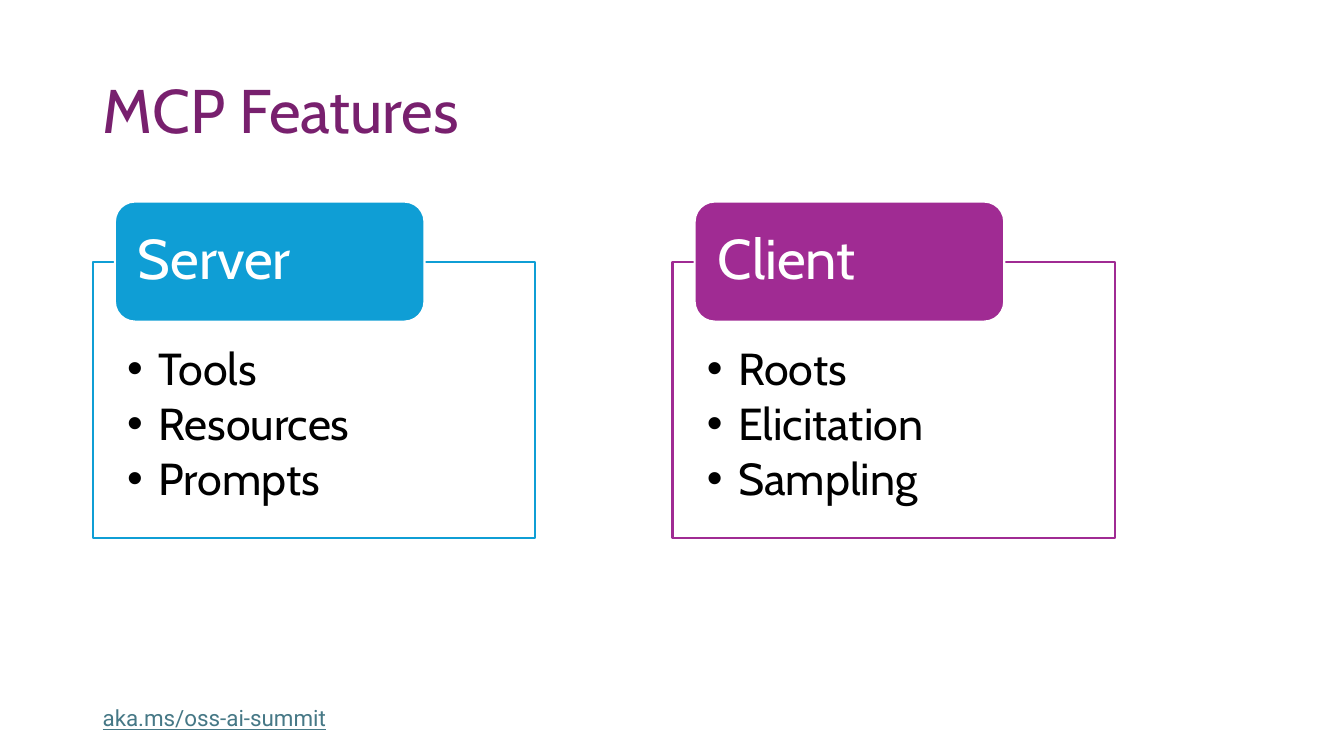
"""Build the MCP Features slide with its server and client panels."""
from lxml.etree import SubElement
from pptx import Presentation
from pptx.dml.color import RGBColor
from pptx.enum.shapes import MSO_SHAPE
from pptx.enum.text import MSO_ANCHOR, PP_ALIGN
from pptx.oxml.ns import qn
from pptx.util import Inches, Pt

PURPLE = RGBColor(0x78, 0x20, 0x6E)
BLUE = RGBColor(0x0F, 0x9E, 0xD5)
MAGENTA = RGBColor(0xA0, 0x2B, 0x93)
LINK = RGBColor(0x46, 0x78, 0x86)
WHITE = RGBColor(0xFF, 0xFF, 0xFF)
BLACK = RGBColor(0x00, 0x00, 0x00)

TITLE = "MCP Features"
ADDRESS = "aka.ms/oss-ai-summit"
PANELS = [
    ("Server", BLUE, ["Tools", "Resources", "Prompts"]),
    ("Client", MAGENTA, ["Roots", "Elicitation", "Sampling"]),
]
LEFT, PANEL_STEP = 0.92, 5.75


def set_font(para, name, size, color):
    para.font.name = name
    para.font.size = Pt(size)
    para.font.color.rgb = color


def set_frame(frame, anchor, margins):
    frame.word_wrap = True
    frame.vertical_anchor = anchor
    (frame.margin_left, frame.margin_top,
     frame.margin_right, frame.margin_bottom) = map(Inches, margins)


def add_box(slide, kind, place, fill, line):
    box = slide.shapes.add_shape(kind, *map(Inches, place))
    box.shadow.inherit = False
    box.fill.solid()
    box.fill.fore_color.rgb = fill
    box.line.color.rgb = line
    box.line.width = Pt(1.5)
    return box


def add_bullet(para):
    properties = para._p.get_or_add_pPr()
    properties.set("marL", str(Inches(0.31)))
    properties.set("indent", str(-Inches(0.31)))
    SubElement(properties, qn("a:buFont"), typeface="Arial")
    SubElement(properties, qn("a:buChar"), char="•")


def add_panel(slide, left, heading, color, items):
    body = add_box(slide, MSO_SHAPE.RECTANGLE, (left, 2.6, 4.39, 2.74), WHITE, color)
    frame = body.text_frame
    set_frame(frame, MSO_ANCHOR.TOP, (0.34, 0.84, 0.34, 0.25))
    for index, item in enumerate(items):
        para = frame.add_paragraph() if index else frame.paragraphs[0]
        para.text = item
        add_bullet(para)
        para.alignment = PP_ALIGN.LEFT
        para.line_spacing = 0.9
        para.space_after = Pt(4.6)
        set_font(para, "Cabin", 32, BLACK)

    header = add_box(slide, MSO_SHAPE.ROUNDED_RECTANGLE,
                     (left + 0.22, 2, 3.07, 1.19), color, WHITE)
    set_frame(header.text_frame, MSO_ANCHOR.MIDDLE, (0.17, 0.06, 0.17, 0.06))
    para = header.text_frame.paragraphs[0]
    para.text = heading
    para.alignment = PP_ALIGN.LEFT
    para.line_spacing = 0.9
    set_font(para, "Cabin", 40, WHITE)


def main():
    deck = Presentation()
    deck.slide_width, deck.slide_height = Inches(13.33), Inches(7.5)
    slide = deck.slides.add_slide(deck.slide_layouts[5])

    title = slide.shapes.title
    title.left, title.top = Inches(LEFT), Inches(0.4)
    title.width, title.height = Inches(11.5), Inches(1.45)
    set_frame(title.text_frame, MSO_ANCHOR.MIDDLE, (0.1, 0.05, 0.1, 0.05))
    para = title.text_frame.paragraphs[0]
    para.text = TITLE
    para.alignment = PP_ALIGN.LEFT
    para.line_spacing = 0.9
    set_font(para, "Cabin", 44, PURPLE)

    for index, panel in enumerate(PANELS):
        add_panel(slide, LEFT + index * PANEL_STEP, *panel)

    footer = slide.shapes.add_textbox(*map(Inches, (LEFT, 6.94, 3, 0.37)))
    footer.text_frame.word_wrap = True
    para = footer.text_frame.paragraphs[0]
    para.text = ADDRESS
    set_font(para, "Roboto", 16, LINK)
    para.font.underline = True

    deck.save("out.pptx")


if __name__ == "__main__":
    main()
